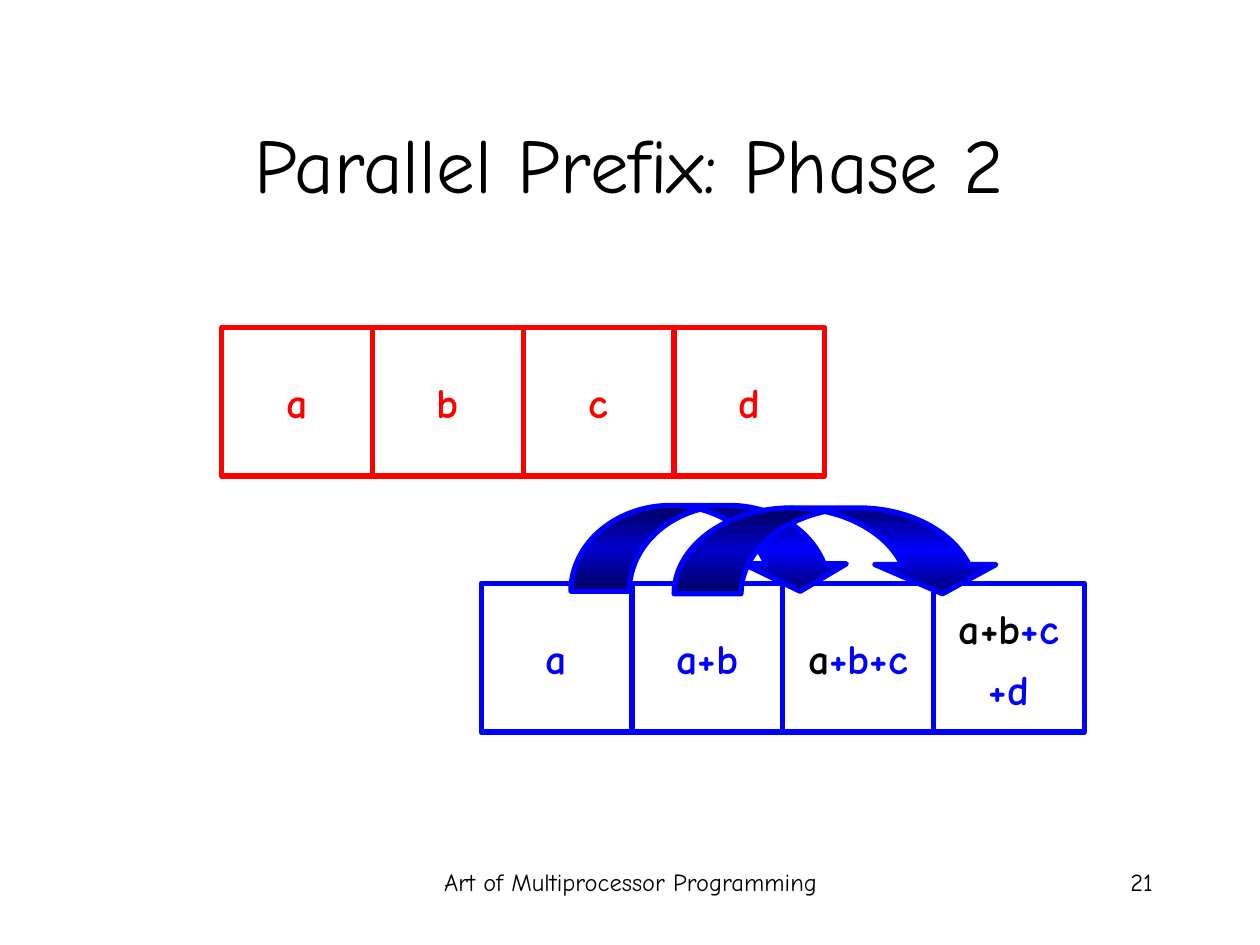
"""Build the slide on the second phase of a parallel prefix sum."""
import copy
from dataclasses import dataclass

import pptx
import pptx.dml.color
import pptx.enum.shapes
import pptx.enum.text
import pptx.util

Cm = pptx.util.Cm
Pt = pptx.util.Pt
Align = pptx.enum.text.PP_ALIGN
Anchor = pptx.enum.text.MSO_ANCHOR
Preset = pptx.enum.shapes.MSO_SHAPE

FONT = "Comic Neue"
COLOURS = {"black": "000000", "red": "FF0000", "blue": "0000FF", "navy": "000076"}
CELL_WIDTH = 3.04
CELL_HEIGHT = 3.0
ARROW_HEIGHT = 1.73


@dataclass(frozen=True)
class Span:
    text: str
    colour: str


@dataclass(frozen=True)
class Label:
    text: str
    left: float
    top: float
    width: float
    height: float
    size: int
    align: Align
    anchor: Anchor = Anchor.TOP


@dataclass(frozen=True)
class Row:
    left: float
    top: float
    colour: str
    cells: list[list[list[Span]]]


@dataclass(frozen=True)
class Arrow:
    left: float
    top: float
    width: float
    shaft: float
    head_width: float
    head_height: float


def one(text: str, colour: str) -> list[list[Span]]:
    """Return cell content made of a single span."""
    return [[Span(text, colour)]]


LABELS = [
    Label("Art of Multiprocessor Programming", 8.69, 17.35, 8.05, 1.27, 14, Align.CENTER),
    Label("21", 18.21, 17.35, 5.28, 1.27, 14, Align.RIGHT),
    Label("Parallel Prefix: Phase 2", 1.9, 1.7, 21.59, 3.18, 44, Align.CENTER, Anchor.MIDDLE),
]
ROWS = [
    Row(4.47, 6.6, "red", [one(letter, "red") for letter in "abcd"]),
    Row(9.7, 11.76, "blue", [
        one("a", "blue"),
        one("a+b", "blue"),
        [[Span("a", "black"), Span("+b+c", "blue")]],
        [[Span("a+b", "black"), Span("+c", "blue")], [Span("+d", "blue")]],
    ]),
]
ARROWS = [
    Arrow(11.51, 10.19, 5.66, 0.68, 1.2, 0.32),
    Arrow(13.59, 10.24, 6.63, 0.78, 1.41, 0.34),
]


def rgb(name: str) -> pptx.dml.color.RGBColor:
    """Return the named colour."""
    return pptx.dml.color.RGBColor.from_string(COLOURS[name])


def set_font(font, size: int, bold: bool = False) -> None:
    """Set typeface, size and weight."""
    font.name, font.size, font.bold = FONT, Pt(size), bold


def add_label(page, label: Label) -> None:
    """Draw a line of black text."""
    box = page.shapes.add_textbox(Cm(label.left), Cm(label.top), Cm(label.width), Cm(label.height))
    frame = box.text_frame
    frame.word_wrap = True
    frame.vertical_anchor = label.anchor
    para = frame.paragraphs[0]
    para.text = label.text
    para.alignment = label.align
    set_font(para.font, label.size)
    para.font.color.rgb = rgb("black")


def add_outlined(page, preset: Preset, left: float, top: float,
                 width: float, height: float, colour: str):
    """Draw a preset shape with a thick outline and no shadow."""
    shape = page.shapes.add_shape(preset, Cm(left), Cm(top), Cm(width), Cm(height))
    shape.shadow.inherit = False
    shape.line.color.rgb = rgb(colour)
    shape.line.width = Pt(3)
    return shape


def add_row(page, row: Row) -> None:
    """Draw adjoining cells from left to right."""
    for column, lines in enumerate(row.cells):
        cell = add_outlined(page, Preset.RECTANGLE, row.left + column * CELL_WIDTH, row.top,
                            CELL_WIDTH, CELL_HEIGHT, row.colour)
        cell.fill.background()
        frame = cell.text_frame
        frame.word_wrap = False
        frame.vertical_anchor = Anchor.MIDDLE
        for index, spans in enumerate(lines):
            para = frame.add_paragraph() if index else frame.paragraphs[0]
            para.alignment = Align.CENTER
            para.space_before = Pt(6 if index else 0)
            set_font(para.font, 24, bold=True)
            for span in spans:
                run = para.add_run()
                run.text = span.text
                run.font.color.rgb = rgb(span.colour)


def add_arrow(page, arrow: Arrow) -> None:
    """Draw a curved arrow with a navy, blue, navy gradient."""
    shape = add_outlined(page, Preset.CURVED_DOWN_ARROW, arrow.left, arrow.top,
                         arrow.width, ARROW_HEIGHT, "blue")
    for index, value in enumerate((arrow.shaft, arrow.head_width, arrow.head_height)):
        shape.adjustments[index] = value
    shape.fill.gradient()
    shape.fill.gradient_angle = 90
    first_stop = shape.element.xpath(".//a:gs")[0]
    first_stop.addnext(copy.deepcopy(first_stop))
    for index, (stop, name) in enumerate(zip(shape.fill.gradient_stops, ("navy", "blue", "navy"))):
        stop.position = index / 2
        stop.color.rgb = rgb(name)


def main() -> None:
    """Assemble and save the deck."""
    deck = pptx.Presentation()
    deck.slide_width, deck.slide_height = Cm(25.4), Cm(19.05)
    page = deck.slides.add_slide(deck.slide_layouts[6])
    for label in LABELS:
        add_label(page, label)
    for row in ROWS:
        add_row(page, row)
    for arrow in ARROWS:
        add_arrow(page, arrow)
    deck.save("out.pptx")


if __name__ == "__main__":
    main()
